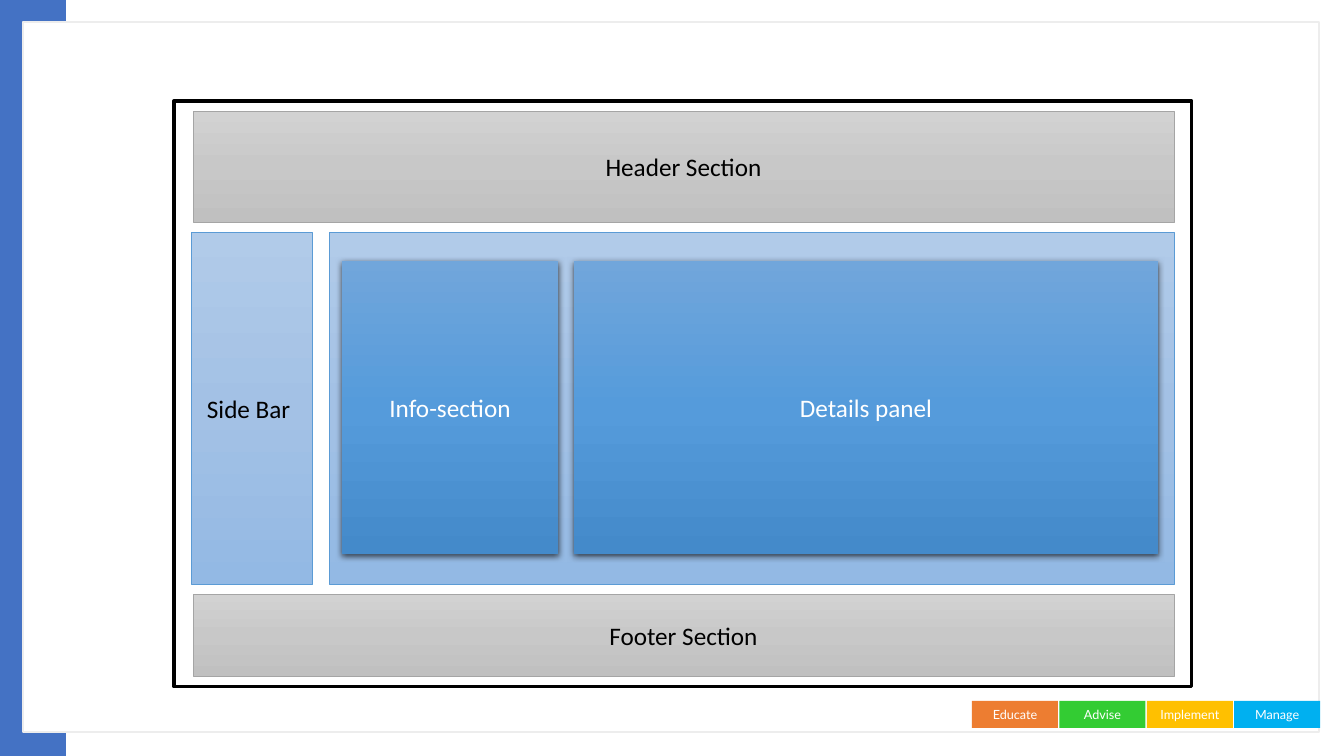
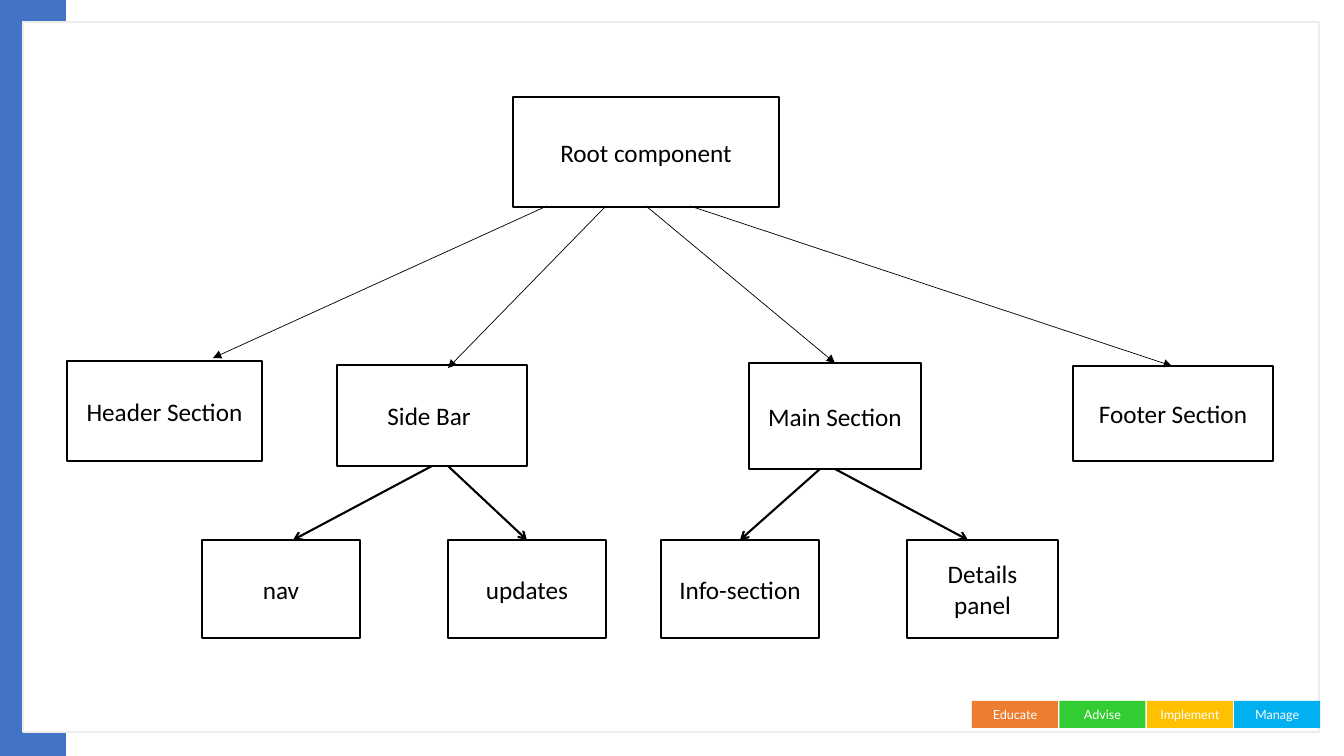
"""Build two slides: a page layout and its component tree."""
import copy

import pptx
import pptx.dml.color
import pptx.enum.shapes
import pptx.enum.text
import pptx.oxml
import pptx.oxml.ns
import pptx.util

SCALE = 914400 / 100.8
WHITE, BLACK = "FFFFFF", "000000"
GREY, GREY_LINE = ("D2D2D2", "C8C8C8", "C0C0C0"), "A5A5A5"
PALE_BLUE, BLUE_LINE = ("B1CBE9", "A3C1E5", "93B9E4"), "5B9BD5"
BLUE = ("71A6DB", "559BDB", "448ACA")
TAGS = [("Educate", "ED7D31"), ("Advise", "33CC33"), ("Implement", "FFC000"), ("Manage", "00B0F0")]


def px(length):
    return pptx.util.Emu(round(length * SCALE))


def color(value):
    return pptx.dml.color.RGBColor.from_string(value)


def add_xml(parent, tag, **attributes):
    child = pptx.oxml.parse_xml(f'<a:{tag} {pptx.oxml.ns.nsdecls("a")}/>')
    for name, value in attributes.items():
        child.set(name, str(value))
    parent.append(child)
    return child


class Deck:
    def __init__(self):
        self.presentation = pptx.Presentation()
        self.presentation.slide_width = px(1344)
        self.presentation.slide_height = px(756)
        self.slide = None

    def new_slide(self):
        self.slide = self.presentation.slides.add_slide(self.presentation.slide_layouts[6])
        self.box(0, 0, 66, 756, "4472C4")
        self.box(23, 22, 1296, 710, WHITE, "EDEDED")
        for index, (label, fill) in enumerate(TAGS):
            self.box(972 + 87.4 * index, 701, 86, 27, fill, text=label,
                     text_color=WHITE, size=9, font="Lato")

    def box(self, left, top, width, height, fill, line=None, line_width=1,
            text="", text_color=BLACK, size=18, font="Calibri"):
        shape = self.slide.shapes.add_shape(
            pptx.enum.shapes.MSO_SHAPE.RECTANGLE, px(left), px(top), px(width), px(height))
        shape.shadow.inherit = False
        if isinstance(fill, tuple):
            self.gradient(shape, fill)
        else:
            shape.fill.solid()
            shape.fill.fore_color.rgb = color(fill)
        if line:
            shape.line.color.rgb = color(line)
            shape.line.width = pptx.util.Pt(line_width)
        else:
            shape.line.fill.background()
        if text:
            frame = shape.text_frame
            frame.text = text
            frame.word_wrap = True
            frame.vertical_anchor = pptx.enum.text.MSO_ANCHOR.MIDDLE
            paragraph = frame.paragraphs[0]
            paragraph.alignment = pptx.enum.text.PP_ALIGN.CENTER
            run_font = paragraph.runs[0].font
            run_font.name = font
            run_font.size = pptx.util.Pt(size)
            run_font.color.rgb = color(text_color)
        return shape

    def gradient(self, shape, colors):
        shape.fill.gradient()
        shape.fill.gradient_angle = 270
        stop_list = shape.element.spPr.find(".//" + pptx.oxml.ns.qn("a:gsLst"))
        stop_list.insert(1, copy.deepcopy(stop_list[0]))
        for index, stop in enumerate(shape.fill.gradient_stops):
            stop.color.rgb = color(colors[index])
            stop.position = index / 2

    def raised_box(self, left, top, width, height, text):
        shape = self.box(left, top, width, height, BLUE, text=text, text_color=WHITE)
        effects = shape.element.spPr.find(pptx.oxml.ns.qn("a:effectLst"))
        shadow = add_xml(effects, "outerShdw", blurRad=57150, dist=19050, dir=5400000,
                         algn="ctr", rotWithShape=0)
        add_xml(add_xml(shadow, "srgbClr", val=BLACK), "alpha", val=63000)

    def arrow(self, start_x, start_y, end_x, end_y, width, head):
        connector = self.slide.shapes.add_connector(
            pptx.enum.shapes.MSO_CONNECTOR.STRAIGHT,
            px(start_x), px(start_y), px(end_x), px(end_y))
        connector.line.color.rgb = color(BLACK)
        connector.line.width = pptx.util.Pt(width)
        add_xml(connector.line._get_or_add_ln(), "tailEnd", type=head)
        add_xml(connector.element.spPr, "effectLst")


deck = Deck()

deck.new_slide()
deck.box(174, 101, 1018, 586, WHITE, BLACK, 2.25)
deck.box(193, 111, 981, 111, GREY, GREY_LINE, 0.5, "Header Section")
deck.box(329, 232, 845, 352, PALE_BLUE, BLUE_LINE, 0.5)
deck.box(191, 232, 121, 352, PALE_BLUE, BLUE_LINE, 0.5, "Side Bar ")
deck.box(193, 594, 981, 82, GREY, GREY_LINE, 0.5, "Footer Section")
deck.raised_box(342, 261, 216, 293, "Info-section")
deck.raised_box(574, 261, 584, 293, "Details panel")

deck.new_slide()
LEAF_TOP, LEAF_HEIGHT = 540, 98
COMPONENTS = [
    ("Root component", 513, 97, 266, 110),
    ("Header Section", 67, 361, 195, 100),
    ("Side Bar ", 337, 365, 190, 101),
    ("Main Section", 749, 363, 172, 106),
    ("Footer Section", 1073, 366, 200, 95),
    ("nav", 202, LEAF_TOP, 158, LEAF_HEIGHT),
    ("updates", 448, LEAF_TOP, 158, LEAF_HEIGHT),
    ("Info-section", 661, LEAF_TOP, 158, LEAF_HEIGHT),
    ("Details panel", 907, LEAF_TOP, 151, LEAF_HEIGHT),
]
for name, left, top, width, height in COMPONENTS:
    deck.box(left, top, width, height, WHITE, BLACK, text=name)

for start_x, end_x, end_y in [(547, 213, 358), (606, 448, 368), (646, 835, 363), (690, 1172, 366)]:
    deck.arrow(start_x, 206, end_x, end_y, 0.5, "triangle")
for start_x, start_y, end_x in [(432, 466, 293), (448, 466, 527), (820, 469, 740), (835, 469, 968)]:
    deck.arrow(start_x, start_y, end_x, LEAF_TOP, 1.5, "arrow")

deck.presentation.save("out.pptx")
